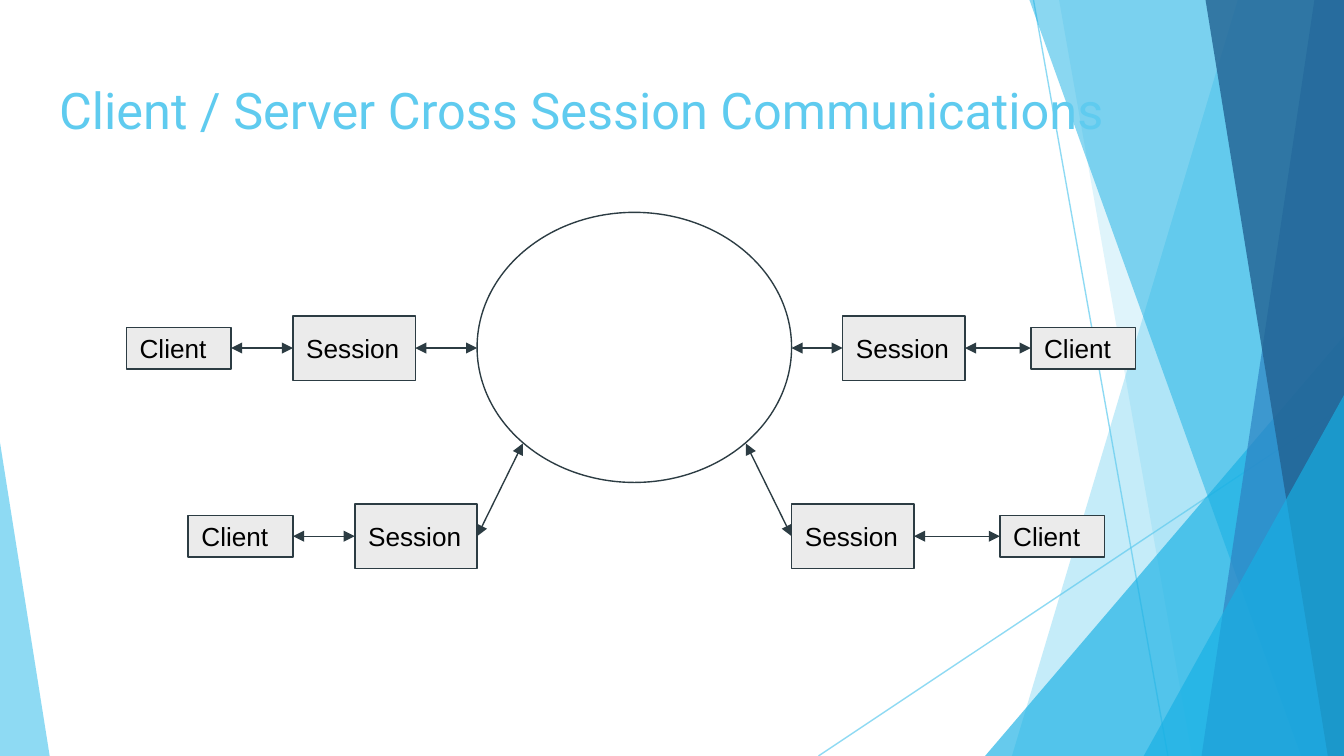
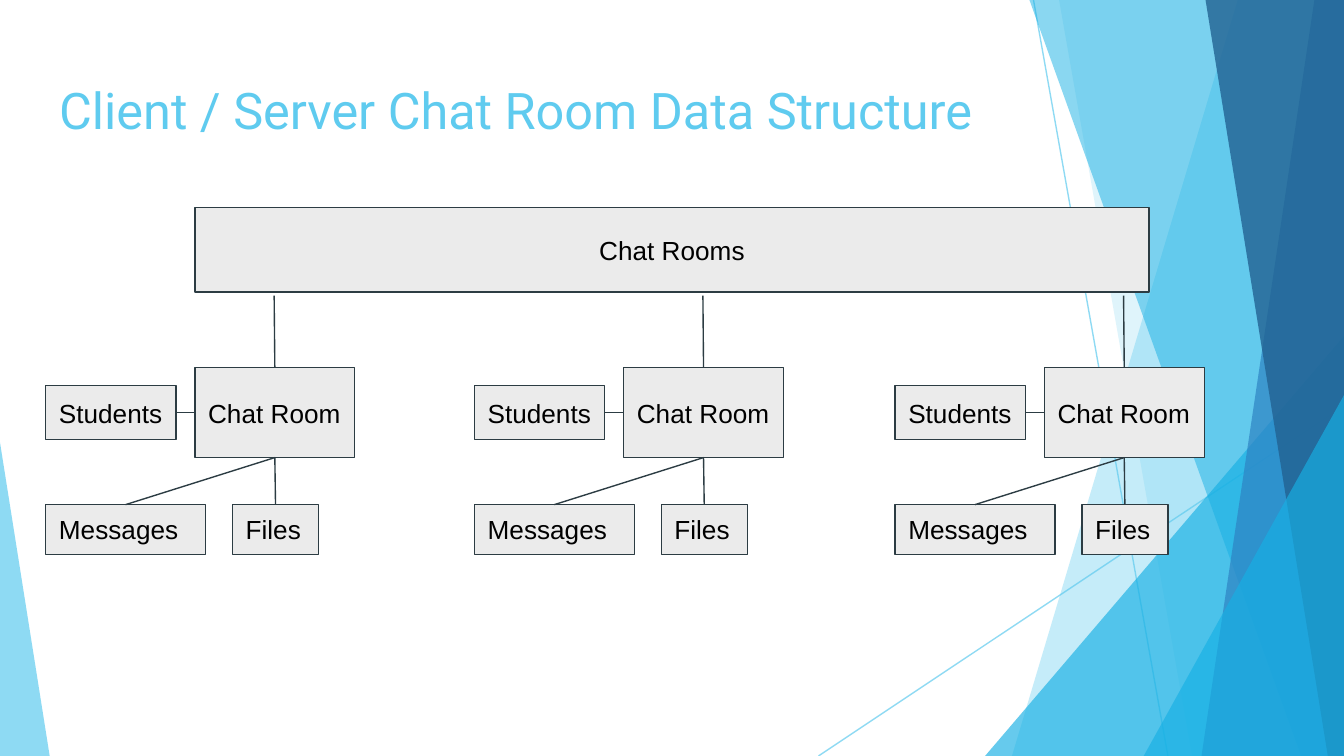
from lxml.etree import SubElement
from pptx import Presentation
from pptx.dml.color import RGBColor
from pptx.enum.shapes import MSO_CONNECTOR, MSO_SHAPE
from pptx.enum.text import MSO_ANCHOR, MSO_AUTO_SIZE, PP_ALIGN
from pptx.oxml.ns import qn
from pptx.util import Inches, Pt

WIDTH, HEIGHT = 10, 5.625
SKY, AZURE, BLUE, NAVY = "5FCBEF", "17B0E4", "2E83C3", "226292"
INK, PANEL, BLACK = "2C3C43", "EBEBEB", "000000"
TOP, LEFT, BOTTOM, RIGHT = range(4)  # connection sites of a rectangle

FRAME = dict(
    word_wrap=True, auto_size=MSO_AUTO_SIZE.NONE,
    margin_left=Inches(0.1), margin_right=Inches(0.1),
    margin_top=Inches(0.1), margin_bottom=Inches(0.1),
)
TITLE_FONT = dict(name="Roboto", size=Pt(27))
LABEL_FONT = dict(name="Arial", size=Pt(14))


def color(hex_code):
    return RGBColor.from_string(hex_code)


def apply(target, values):
    for key, value in values.items():
        setattr(target, key, value)


class Deck:
    """Holds the shared style and the slide being filled."""

    def __init__(self):
        self.prs = Presentation()
        self.prs.slide_width, self.prs.slide_height = Inches(WIDTH), Inches(HEIGHT)
        self.layout = self.prs.slide_layouts.get_by_name("Title Only")
        for holder in list(self.layout.placeholders)[1:]:
            holder.element.getparent().remove(holder.element)

    def new_slide(self, title):
        self.slide = self.prs.slides.add_slide(self.layout)
        self.shapes = self.slide.shapes
        if len(self.prs.slides) == 1:
            self.draw_bands()
        heading = self.shapes.title
        apply(heading, dict(left=Inches(0.34), top=Inches(0.49),
                            width=Inches(9.32), height=Inches(0.63)))
        self.set_text(heading, title, TITLE_FONT, SKY, MSO_ANCHOR.TOP)

    def draw_bands(self):
        """Draw the background once, then hand it to the layout."""
        self.line((7.69, 0), (8.69, HEIGHT), SKY, 70)
        self.line((WIDTH, 3.02), (6.09, HEIGHT), SKY, 70)
        self.band(9.21, 7.53, SKY, 36)
        self.band(7.88, 8.87, SKY, 20)
        self.wedge(7.33, 2.5, 2.67, 1, AZURE, 66)
        self.band(7.66, 9.68, AZURE, 50)
        self.band(9.78, 8.94, BLUE, 70)
        self.band(8.97, 9.88, NAVY, 80)
        self.wedge(8.51, 2.94, 1.49, 1, AZURE, 66)
        self.wedge(0, 3.29, 0.37, 0, SKY, 70)
        for shape in list(self.shapes):
            if not shape.is_placeholder:
                self.layout.shapes.element.append(shape.element)

    def band(self, top_x, bottom_x, fill, alpha):
        """Fill from a slanted left edge to the right side of the slide."""
        outline = self.shapes.build_freeform(Inches(top_x), 0)
        corners = [(WIDTH, 0), (WIDTH, HEIGHT), (bottom_x, HEIGHT)]
        outline.add_line_segments([(Inches(x), Inches(y)) for x, y in corners])
        self.tint(outline.convert_to_shape(), fill, alpha)

    def wedge(self, left, top, width, apex, fill, alpha):
        """Draw a triangle that stands on the bottom edge of the slide."""
        triangle = self.add(MSO_SHAPE.ISOSCELES_TRIANGLE, left, top, width, HEIGHT - top)
        triangle.adjustments[0] = apex
        self.tint(triangle, fill, alpha)

    def tint(self, shape, fill, alpha):
        shape.shadow.inherit = False
        shape.fill.solid()
        shape.fill.fore_color.rgb = color(fill)
        shape.line.fill.background()
        self.fade(shape, alpha)

    def fade(self, shape, alpha):
        rgb = shape.element.spPr.find(".//" + qn("a:srgbClr"))
        SubElement(rgb, qn("a:alpha"), val=str(alpha * 1000))

    def add(self, kind, left, top, width, height):
        shape = self.shapes.add_shape(kind, *map(Inches, (left, top, width, height)))
        shape.shadow.inherit = False
        return shape

    def set_text(self, shape, text, font, ink, anchor, align=PP_ALIGN.LEFT):
        frame = shape.text_frame
        apply(frame, dict(FRAME, vertical_anchor=anchor))
        frame.text = text
        paragraph = frame.paragraphs[0]
        paragraph.alignment = align
        run = paragraph.runs[0]
        apply(run.font, font)
        run.font.color.rgb = color(ink)

    def stroke(self, shape, ink):
        shape.line.color.rgb = color(ink)
        shape.line.width = Pt(0.75)

    def ring(self, left, top, width, height):
        ellipse = self.add(MSO_SHAPE.OVAL, left, top, width, height)
        ellipse.fill.background()
        self.stroke(ellipse, INK)

    def box(self, text, left, middle, width, height, align=PP_ALIGN.LEFT):
        """Draw a labelled rectangle centred vertically on middle."""
        panel = self.add(MSO_SHAPE.RECTANGLE, left, middle - height / 2, width, height)
        panel.fill.solid()
        panel.fill.fore_color.rgb = color(PANEL)
        self.stroke(panel, INK)
        self.set_text(panel, text, LABEL_FONT, BLACK, MSO_ANCHOR.MIDDLE, align)
        return panel

    def line(self, start, end, ink=INK, alpha=None):
        link = self.shapes.add_connector(
            MSO_CONNECTOR.STRAIGHT, *map(Inches, (*start, *end)))
        SubElement(link.element.spPr, qn("a:effectLst"))
        self.stroke(link, ink)
        if alpha:
            self.fade(link, alpha)
        return link

    def join(self, panel, site, target, target_site=None, arrows=False):
        """Link a panel's side to another panel's side, or to a point."""
        link = self.line((0, 0), target if target_site is None else (0, 0))
        link.begin_connect(panel, site)
        if target_site is not None:
            link.end_connect(target, target_site)
        if arrows:
            outline = link.element.spPr.find(qn("a:ln"))
            for end in ("a:headEnd", "a:tailEnd"):
                SubElement(outline, qn(end), type="triangle")


def session_slide(deck):
    deck.new_slide("Client / Server Cross Session Communications")
    deck.ring(3.55, 1.58, 2.34, 2.01)
    # middle, client left, session left, point on the ring
    branches = [
        (2.59, 0.94, 2.18, (3.55, 2.59)),
        (3.99, 1.4, 2.64, (3.89, 3.3)),
        (2.59, 7.67, 6.27, (5.89, 2.59)),
        (3.99, 7.44, 5.89, (5.55, 3.3)),
    ]
    for middle, client_left, session_left, ring_point in branches:
        client = deck.box("Client", client_left, middle, 0.78, 0.31)
        session = deck.box("Session", session_left, middle, 0.91, 0.48)
        inner, outer = (RIGHT, LEFT) if client_left < session_left else (LEFT, RIGHT)
        deck.join(client, inner, session, outer, arrows=True)
        deck.join(session, inner, ring_point, arrows=True)


def chat_room_slide(deck):
    deck.new_slide("Client / Server Chat Room Data Structure")
    deck.box("Chat Rooms", 1.45, 1.86, 7.1, 0.63, PP_ALIGN.CENTER)
    for left in (0.34, 3.53, 6.66):
        room = deck.box("Chat Room", left + 1.11, 3.07, 1.19, 0.67)
        students = deck.box("Students", left, 3.07, 0.97, 0.4)
        messages = deck.box("Messages", left, 3.94, 1.19, 0.37)
        files = deck.box("Files", left + 1.39, 3.94, 0.64, 0.37)
        deck.join(students, RIGHT, room, LEFT)
        deck.join(room, BOTTOM, messages, TOP)
        deck.join(room, BOTTOM, files, TOP)
        deck.join(room, TOP, (left + 1.7, 2.2))


def main():
    deck = Deck()
    session_slide(deck)
    chat_room_slide(deck)
    deck.prs.save("out.pptx")


if __name__ == "__main__":
    main()
